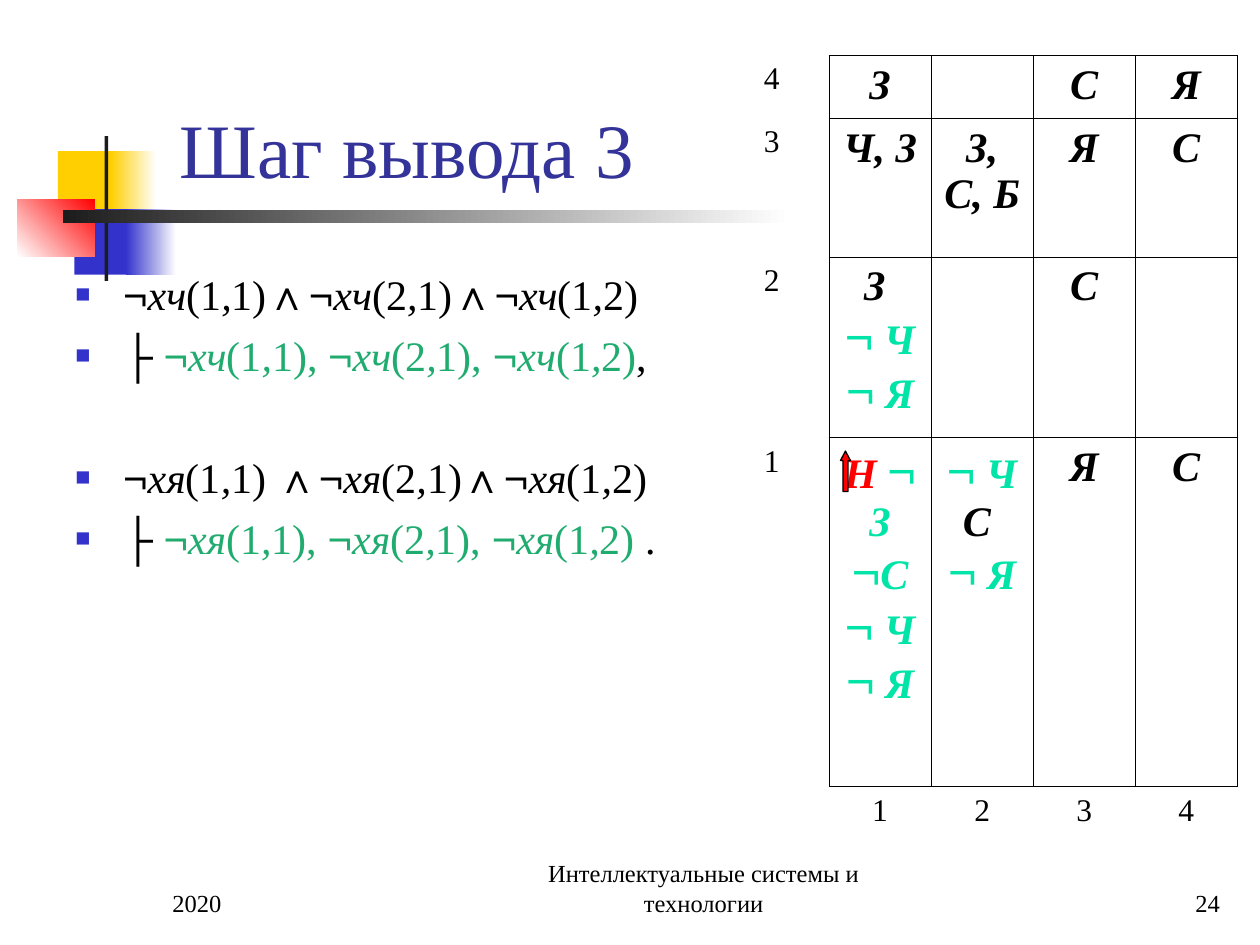
from lxml import etree
from pptx import Presentation
from pptx.dml.color import RGBColor
from pptx.enum.shapes import MSO_SHAPE
from pptx.enum.text import MSO_ANCHOR, PP_ALIGN
from pptx.oxml.ns import qn
from pptx.util import Inches, Pt

RECTANGLE, UP_ARROW = MSO_SHAPE.RECTANGLE, MSO_SHAPE.UP_ARROW
TOP, BOTTOM = MSO_ANCHOR.TOP, MSO_ANCHOR.BOTTOM
LEFT, CENTER, RIGHT = PP_ALIGN.LEFT, PP_ALIGN.CENTER, PP_ALIGN.RIGHT
SERIF, SANS = "Times New Roman", "Arial"
BLACK, WHITE, RED, YELLOW, BLUE = "000000", "FFFFFF", "FF0000", "FFCF01", "3333CC"
CHARCOAL, TITLE_BLUE, GREEN, MINT = "1C1C1C", "333399", "20AC6F", "00E4A8"


def rgb(color):
    return RGBColor.from_string(color)


def box(left, top, width, height):
    return Inches(left), Inches(top), Inches(width), Inches(height)


def run(text, size=24, font=SERIF, color=BLACK, bold=False, italic=False):
    """Describe one run as text and style, for add_runs."""
    return text, size, font, color, bold, italic


def add_runs(paragraph, runs, align=LEFT):
    paragraph.alignment = align
    for text, size, font, color, bold, italic in runs:
        piece = paragraph.add_run()
        piece.text = text
        piece.font.size = Pt(size)
        piece.font.name = font
        piece.font.bold = bold
        piece.font.italic = italic
        piece.font.color.rgb = rgb(color)


def add_text_box(slide, place, anchor=TOP):
    frame = slide.shapes.add_textbox(*place).text_frame
    frame.word_wrap = True
    frame.vertical_anchor = anchor
    return frame


def add_block(slide, place, start, end=None, angle=0):
    """Add a borderless rectangle, shaded from start to end when end is given."""
    block = slide.shapes.add_shape(RECTANGLE, *place)
    block.shadow.inherit = False
    block.line.fill.background()
    if end is None:
        block.fill.solid()
        block.fill.fore_color.rgb = rgb(start)
        return
    block.fill.gradient()
    block.fill.gradient_angle = angle
    for stop, color in zip(block.fill.gradient_stops, (start, end)):
        stop.color.rgb = rgb(color)


def add_ornament(slide, left, top):
    def place(x, y, width, height):
        return box(left + x, top + y, width, height)

    add_block(slide, place(0.32, 0.12, 0.48, 0.52), YELLOW)
    add_block(slide, place(0.74, 0.12, 0.36, 0.52), YELLOW, WHITE)
    add_block(slide, place(0.45, 0.58, 0.46, 0.52), BLUE)
    add_block(slide, place(0.86, 0.58, 0.4, 0.52), BLUE, WHITE)
    add_block(slide, place(0, 0.5, 0.61, 0.46), WHITE, RED, angle=45)
    add_block(slide, place(0.69, 0, 0.03, 1.15), CHARCOAL)
    add_block(slide, place(0.36, 0.59, 5.77, 0.1), CHARCOAL, WHITE)


def add_line(slide, place, text, size, color=BLACK, align=LEFT):
    frame = add_text_box(slide, place, BOTTOM)
    add_runs(frame.paragraphs[0], [run(text, size, color=color)], align)


def negated_atom(name, column, row, color=BLACK):
    return [run("¬", font=SANS, color=color), run(name, color=color, italic=True),
            run(f"({column}", color=color), run(",", color=color, italic=True),
            run(f"{row})", color=color)]


def negated_atoms(name, separators, color=BLACK):
    """Negate the predicate in the three known cells, joined by the separators."""
    first, second, third = (negated_atom(name, column, row, color)
                            for column, row in ((1, 1), (2, 1), (1, 2)))
    return first + separators[0] + second + separators[1] + third


def add_square_bullet(paragraph):
    properties = paragraph._p.get_or_add_pPr()
    properties.set("marL", str(Inches(0.38)))
    properties.set("indent", str(-Inches(0.38)))
    bullet_color = etree.SubElement(properties, qn("a:buClr"))
    etree.SubElement(bullet_color, qn("a:srgbClr"), val=BLUE)
    etree.SubElement(properties, qn("a:buSzPct"), val="60000")
    etree.SubElement(properties, qn("a:buFont"), typeface=SANS)
    etree.SubElement(properties, qn("a:buChar"), char="■")


def add_inference(slide, place):
    frame = add_text_box(slide, place)
    conjunction = [run("∧", font=SANS)]
    comma = [run(", ", color=GREEN)]
    steps = [("xч", [conjunction, conjunction], ",", 6),
             ("xя", [[run(" ")] + conjunction, conjunction], " .", 41)]
    paragraph = frame.paragraphs[0]
    for name, conjunctions, ending, gap in steps:
        premise = negated_atoms(name, conjunctions)
        conclusion = [run("├ "), *negated_atoms(name, [comma, comma], GREEN), run(ending)]
        for runs, space in ((premise, gap), (conclusion, 6)):
            if paragraph.runs:
                paragraph = frame.add_paragraph()
            paragraph.space_before = Pt(space)
            add_square_bullet(paragraph)
            add_runs(paragraph, runs)


def fact(text, color=BLACK):
    return [run(text, color=color, bold=True, italic=True)]


def negated(text):
    return [run("¬", 28, SANS, MINT), *fact(text, MINT)]


def axis(number):
    return [[run(str(number), 18)]]


def set_borders(cell, sides):
    properties = cell._tc.get_or_add_tcPr()
    for side in "LRTB":
        border = etree.SubElement(properties, qn(f"a:ln{side}"), w=str(Pt(0.45)))
        if side in sides:
            fill = etree.SubElement(border, qn("a:solidFill"))
            etree.SubElement(fill, qn("a:srgbClr"), val=BLACK)
        else:
            etree.SubElement(border, qn("a:noFill"))


def cell_sides(row, column, axis_row):
    """Rule the cave cells only, leaving the axis labels outside the frame."""
    if row == axis_row:
        return "T" if column else ""
    return "LRTB" if column else "R"


def add_cave_map(slide, place):
    """Each cell holds paragraphs, and each paragraph holds runs."""
    cave = [
        [[fact("З")], [], [fact("С")], [fact("Я")]],
        [[fact("Ч, З")], [fact("З, С, Б ")], [fact("Я")], [fact("С")]],
        [[fact("З "), negated(" Ч ") + negated(" Я")], [], [fact("С")], []],
        [[fact("Н ", RED) + negated(" З ") + negated("С") + negated(" Ч ") + negated(" Я")],
         [negated(" Ч") + fact(" С "), negated(" Я")], [fact("Я")], [fact("С")]],
    ]
    rows = [[axis(4 - index), *cells] for index, cells in enumerate(cave)]
    rows.append([[], *(axis(number) for number in range(1, 5))])
    table = slide.shapes.add_table(len(rows), 5, *place).table
    table.first_row = table.horz_banding = False
    for column, width in zip(table.columns, [0.91] + [0.81] * 4):
        column.width = Inches(width)
    for row, height in zip(table.rows, [0.5, 1.1, 1.43, 2.77, 0.89]):
        row.height = Inches(height)
    for row, contents in enumerate(rows):
        for column, paragraphs in enumerate(contents):
            cell = table.cell(row, column)
            set_borders(cell, cell_sides(row, column, len(cave)))
            cell.fill.background()
            for index, runs in enumerate(paragraphs):
                frame = cell.text_frame
                paragraph = frame.add_paragraph() if index else frame.paragraphs[0]
                add_runs(paragraph, runs, CENTER)


def add_agent_arrow(slide, place):
    arrow = slide.shapes.add_shape(UP_ARROW, *place)
    arrow.shadow.inherit = False
    arrow.adjustments[0], arrow.adjustments[1] = 0.5, 0.95
    arrow.fill.solid()
    arrow.fill.fore_color.rgb = rgb(RED)
    arrow.line.color.rgb = rgb(BLACK)
    arrow.line.width = Pt(0.75)


def add_footer(slide, top, height):
    add_line(slide, box(1.27, top, 2.08, height), "2020", 14)
    add_line(slide, box(4, top, 3.17, height),
             "Интеллектуальные системы и технологии", 14, align=CENTER)
    add_line(slide, box(7.7, top, 2.08, height), "24", 14, align=RIGHT)


def main():
    deck = Presentation()
    deck.slide_width, deck.slide_height = Inches(10), Inches(7.5)
    slide = deck.slides.add_slide(deck.slide_layouts[6])
    add_ornament(slide, 0.14, 1.08)
    add_footer(slide, 6.83, 0.5)
    add_line(slide, box(1.33, 0.17, 8.52, 1.42), "Шаг вывода 3", 44, TITLE_BLUE)
    add_inference(slide, box(0.5, 2.08, 5, 4.62))
    add_cave_map(slide, box(5.67, 0.44, 4.17, 6.69))
    add_agent_arrow(slide, box(6.67, 3.58, 0.08, 0.32))
    deck.save("out.pptx")


if __name__ == "__main__":
    main()
